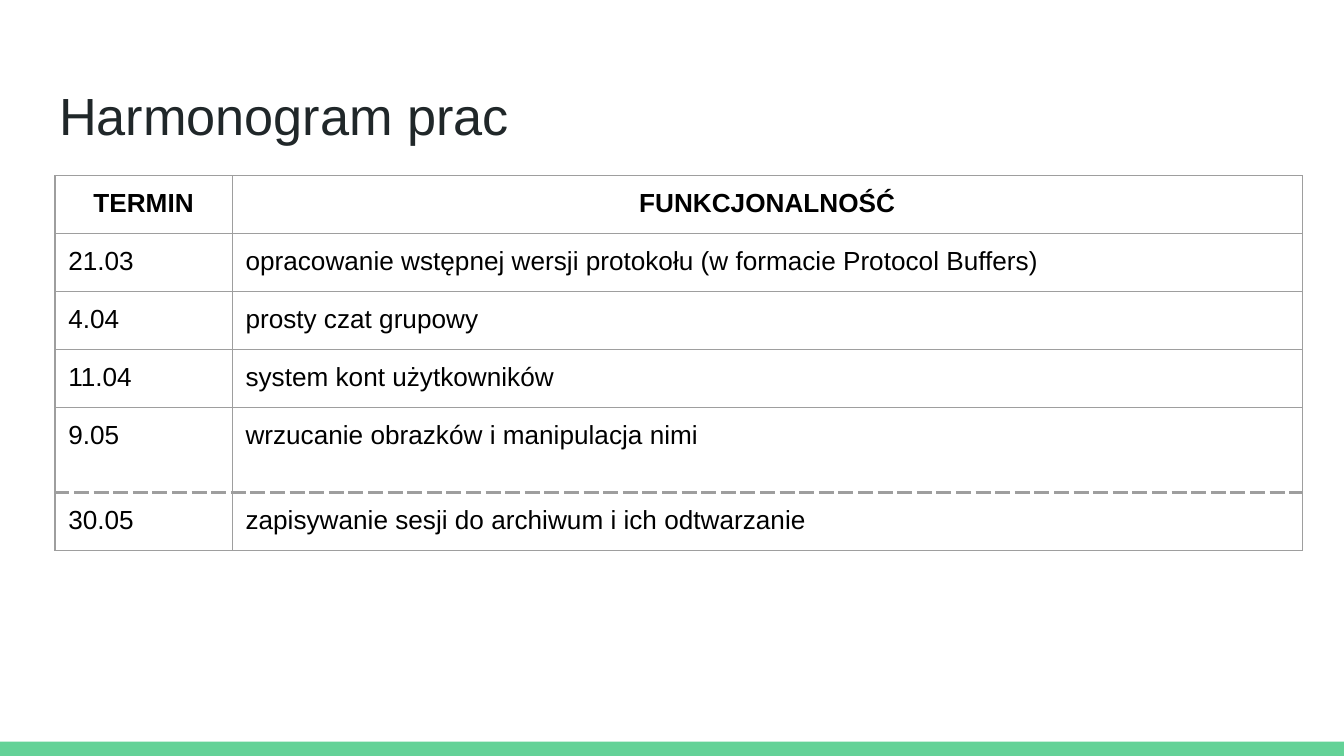
from dataclasses import dataclass

from lxml import etree
from pptx import Presentation
from pptx import util as u
from pptx.dml.color import RGBColor
from pptx.enum import shapes, text
from pptx.oxml import ns


@dataclass(frozen=True)
class Theme:
    font: str = "Arial"
    title_color: str = "202729"
    body_color: str = "000000"
    accent: str = "63D297"
    grid: str = "9E9E9E"
    title_size: float = 28
    body_size: float = 14
    thin_line: float = 0.75
    thick_line: float = 2.25


THEME = Theme()
WIDTH, HEIGHT = 25.4, 14.29
INSET = 0.25
HEADERS = ("TERMIN", "FUNKCJONALNOŚĆ")
SCHEDULE = (
    ("21.03", "opracowanie wstępnej wersji protokołu (w formacie Protocol Buffers)"),
    ("4.04", "prosty czat grupowy"),
    ("11.04", "system kont użytkowników"),
    ("9.05", "wrzucanie obrazków i manipulacja nimi"),
    ("30.05", "zapisywanie sesji do archiwum i ich odtwarzanie"),
)
COLUMN_WIDTHS = (3.35, 20.22)
ROW_HEIGHT, TALL_ROW_HEIGHT = 1.06, 1.61
TALL_ROW = 4


def write_text(frame, content, *, size, color, bold=False, centered=False):
    frame.word_wrap = True
    paragraph = frame.paragraphs[0]
    paragraph.alignment = text.PP_ALIGN.CENTER if centered else text.PP_ALIGN.LEFT
    run = paragraph.add_run()
    run.text = content
    run.font.name = THEME.font
    run.font.size = u.Pt(size)
    run.font.bold = bold
    run.font.color.rgb = RGBColor.from_string(color)


def add_title(slide, content):
    shape = slide.shapes.add_textbox(u.Cm(0.87), u.Cm(1.24), u.Cm(23.67), u.Cm(1.6))
    frame = shape.text_frame
    frame.margin_left = frame.margin_right = u.Cm(INSET)
    frame.margin_top, frame.margin_bottom = u.Cm(0.34), 0
    write_text(frame, content, size=THEME.title_size, color=THEME.title_color)


def add_footer_bar(slide):
    height = 0.27
    shape = slide.shapes.add_shape(
        shapes.MSO_SHAPE.RECTANGLE, 0, u.Cm(HEIGHT - height), u.Cm(WIDTH), u.Cm(height)
    )
    shape.shadow.inherit = False
    shape.fill.solid()
    shape.fill.fore_color.rgb = RGBColor.from_string(THEME.accent)
    shape.line.fill.background()


def set_borders(cell, dashed_side=None):
    properties = cell._tc.get_or_add_tcPr()
    for side in "LRTB":
        dashed = side == dashed_side
        width = THEME.thick_line if dashed else THEME.thin_line
        line = etree.SubElement(properties, ns.qn(f"a:ln{side}"), w=str(u.Pt(width)))
        fill = etree.SubElement(line, ns.qn("a:solidFill"))
        etree.SubElement(fill, ns.qn("a:srgbClr"), val=THEME.grid)
        etree.SubElement(line, ns.qn("a:prstDash"), val="lgDash" if dashed else "solid")


def add_schedule(slide):
    rows = (HEADERS, *SCHEDULE)
    heights = [TALL_ROW_HEIGHT if i == TALL_ROW else ROW_HEIGHT for i in range(len(rows))]
    table = slide.shapes.add_table(
        len(rows), len(HEADERS), u.Cm(1.04), u.Cm(3.32),
        u.Cm(sum(COLUMN_WIDTHS)), u.Cm(sum(heights)),
    ).table
    table.first_row = table.horz_banding = False
    for column, width in zip(table.columns, COLUMN_WIDTHS):
        column.width = u.Cm(width)
    dashed_sides = {TALL_ROW: "B", TALL_ROW + 1: "T"}
    for i, (values, height) in enumerate(zip(rows, heights)):
        table.rows[i].height = u.Cm(height)
        for j, value in enumerate(values):
            cell = table.cell(i, j)
            cell.margin_left = cell.margin_right = u.Cm(INSET)
            cell.margin_top = cell.margin_bottom = u.Cm(INSET)
            set_borders(cell, dashed_sides.get(i))
            cell.fill.background()
            write_text(cell.text_frame, value, size=THEME.body_size,
                       color=THEME.body_color, bold=i == 0, centered=i == 0)


def main():
    presentation = Presentation()
    presentation.slide_width, presentation.slide_height = u.Cm(WIDTH), u.Cm(HEIGHT)
    slide = presentation.slides.add_slide(presentation.slide_layouts[6])
    add_footer_bar(slide)
    add_title(slide, "Harmonogram prac")
    add_schedule(slide)
    presentation.save("out.pptx")


if __name__ == "__main__":
    main()
